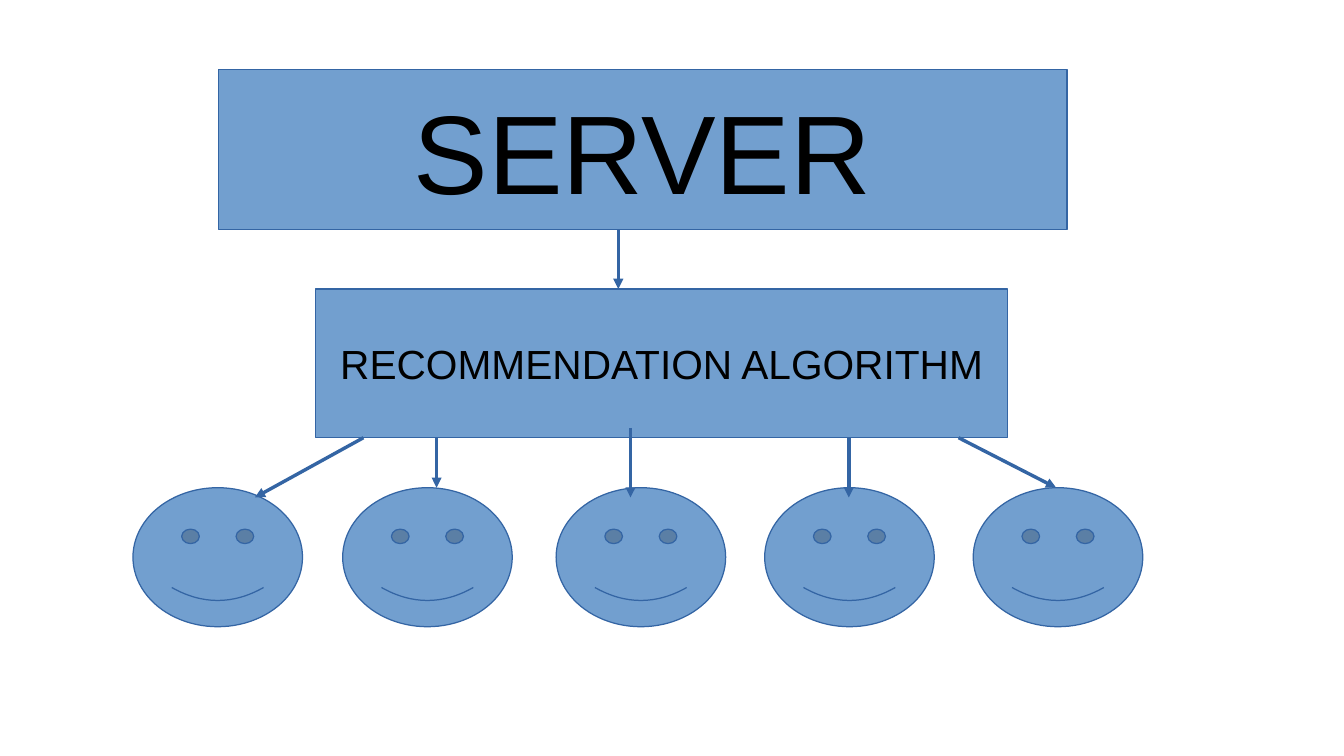
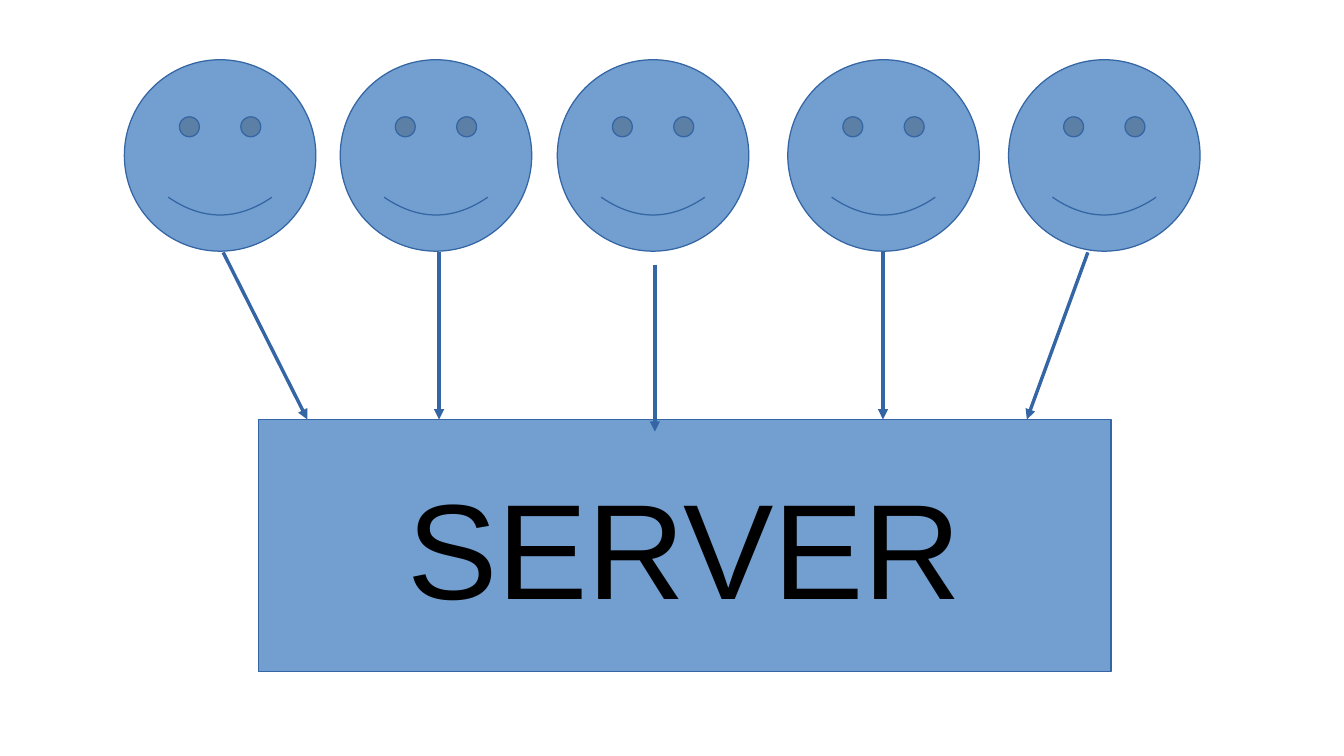
from pptx import Presentation
from pptx.dml.color import RGBColor
from pptx.enum.shapes import MSO_CONNECTOR, MSO_SHAPE
from pptx.enum.text import MSO_ANCHOR, PP_ALIGN
from pptx.oxml.ns import qn
from pptx.util import Inches, Pt
from lxml.etree import SubElement

FILL, LINE, TEXT = "729FCF", "3465A4", "000000"
FONT = "Arial"


def color(hex_text):
    return RGBColor.from_string(hex_text)


def style_line(line):
    line.color.rgb = color(LINE)
    line.width = Pt(0)


def add_figure(s, kind, box):
    sp = s.shapes.add_shape(kind, *[Inches(v) for v in box])
    sp.shadow.inherit = False
    sp.fill.solid()
    sp.fill.fore_color.rgb = color(FILL)
    style_line(sp.line)
    return sp


def add_block(s, box, text, size):
    tf = add_figure(s, MSO_SHAPE.RECTANGLE, box).text_frame
    tf.word_wrap = True
    tf.vertical_anchor = MSO_ANCHOR.MIDDLE
    p = tf.paragraphs[0]
    p.alignment = PP_ALIGN.CENTER
    r = p.add_run()
    r.text = text
    r.font.name = FONT
    r.font.size = Pt(size)
    r.font.color.rgb = color(TEXT)


def add_users(s, box, offsets):
    left, top, width, height = box
    for offset in offsets:
        sp = add_figure(s, MSO_SHAPE.SMILEY_FACE, (left + offset, top, width, height))
        sp.adjustments[0] = 0.093


def add_arrows(s, left, top, arrows):
    for x1, y1, x2, y2 in arrows:
        cn = s.shapes.add_connector(
            MSO_CONNECTOR.STRAIGHT,
            Inches(left + x1), Inches(top + y1),
            Inches(left + x2), Inches(top + y2),
        )
        style_line(cn.line)
        SubElement(cn.line._get_or_add_ln(), qn("a:tailEnd"), type="triangle")
        SubElement(cn._element.spPr, qn("a:effectLst"))


def build_recommendation(s):
    left, top, width, height = box = (2.59, 2.37, 5.67, 1.22)
    bottom = top + height
    add_block(s, (1.79, 0.57, 6.96, 1.31), "SERVER", 66)
    add_users(s, (1.09, 4, 1.39, 1.14), (0, 1.72, 3.47, 5.18, 6.89))
    add_block(s, box, "RECOMMENDATION ALGORITHM", 24)
    add_arrows(s, left, top, [(2.48, -0.49, 2.48, 0)])
    add_arrows(s, left, bottom, [
        (0.39, 0, -0.5, 0.49),
        (0.99, 0, 0.99, 0.41),
        (2.58, -0.08, 2.58, 0.49),
        (4.37, 0, 4.37, 0.49),
        (5.27, 0, 6.07, 0.41),
    ])


def build_collection(s):
    left, top, width, height = box = (1.02, 0.49, 1.57, 1.57)
    add_block(s, (2.12, 3.44, 6.99, 2.07), "SERVER", 80)
    add_users(s, box, (0, 1.77, 3.55, 5.44, 7.25))
    add_arrows(s, left, 2.07, [
        (0.81, 0, 1.5, 1.37),
        (2.58, 0, 2.58, 1.37),
        (4.35, 0.1, 4.35, 1.47),
        (6.22, 0, 6.22, 1.37),
        (7.9, 0, 7.4, 1.37),
    ])


def main():
    prs = Presentation()
    prs.slide_width, prs.slide_height = Inches(11.02), Inches(6.2)
    for build in (build_recommendation, build_collection):
        build(prs.slides.add_slide(prs.slide_layouts[6]))
    prs.save("out.pptx")


if __name__ == "__main__":
    main()
